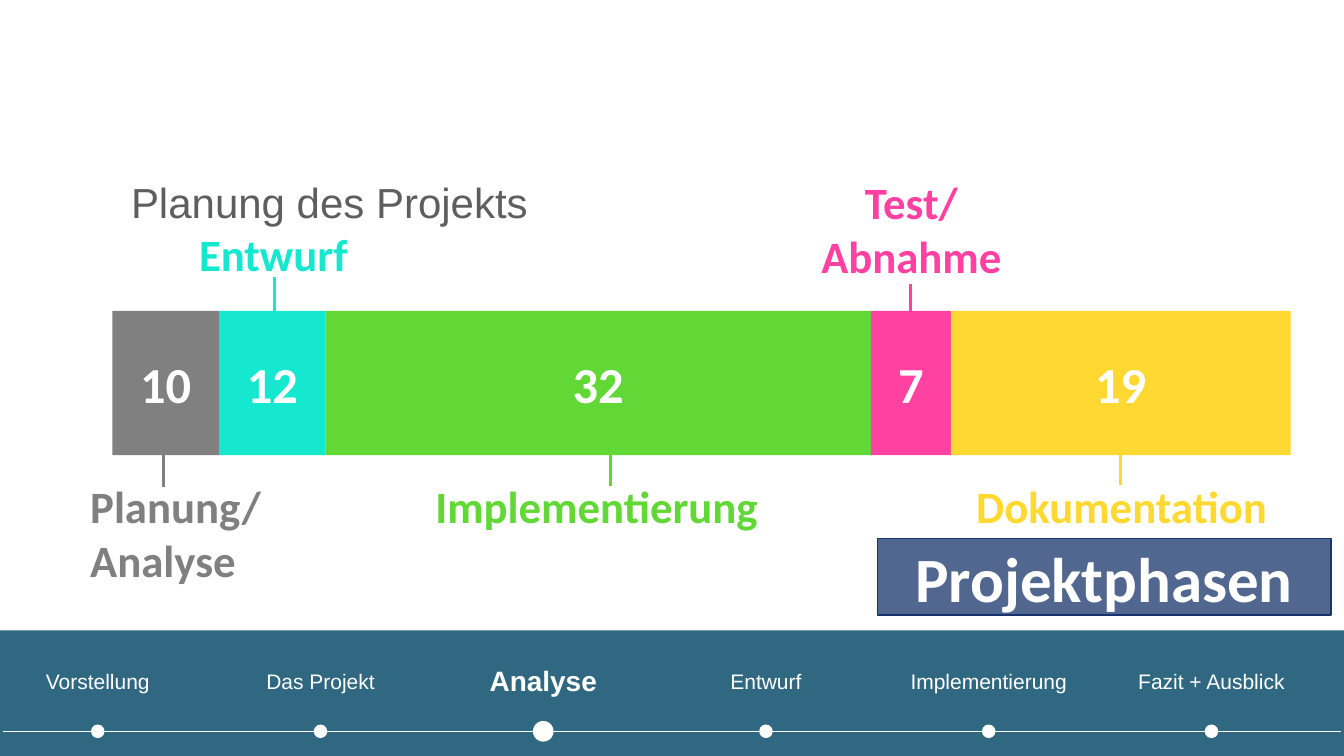
from lxml import etree
from pptx import Presentation
from pptx.dml.color import RGBColor
from pptx.enum.shapes import MSO_CONNECTOR, MSO_SHAPE
from pptx.enum.text import MSO_ANCHOR, MSO_AUTO_SIZE, PP_ALIGN
from pptx.oxml.ns import qn
from pptx.util import Inches, Pt

RECT, OVAL = MSO_SHAPE.RECTANGLE, MSO_SHAPE.OVAL
LINE = MSO_CONNECTOR.STRAIGHT
LEFT, MID = PP_ALIGN.LEFT, PP_ALIGN.CENTER
TOP, CENTER = MSO_ANCHOR.TOP, MSO_ANCHOR.MIDDLE
GROW = MSO_AUTO_SIZE.SHAPE_TO_FIT_TEXT

WHITE = RGBColor(0xFF, 0xFF, 0xFF)
GRAY = RGBColor(0x80, 0x80, 0x80)
CYAN = RGBColor(0x16, 0xE7, 0xCF)
GREEN = RGBColor(0x61, 0xD8, 0x36)
PINK = RGBColor(0xFF, 0x42, 0xA1)
GOLD = RGBColor(0xFF, 0xD9, 0x32)
NAVY = RGBColor(0x17, 0x35, 0x6C)
TEAL = RGBColor(0x31, 0x68, 0x81)
DARK = RGBColor(0x5E, 0x5E, 0x5E)

COLS, ROWS = 26.67, 15
BAR_LEFT, BAR_TOP, BAR_ROWS = 2.23, 6.17, 2.86
STEM = 1.26
BAND_TOP, TRACK = 12.51, 14.51
FIRST, STEP = 1.94, 4.42

PHASES = [
    ("10", 2.12, GRAY, "Planung/\nAnalyse", (1.59, 9.4, 3.85, 2.26), LEFT, (3.25, 8.41)),
    ("12", 2.11, CYAN, "Entwurf", (3.75, 4.39, 3.38, 1.28), LEFT, (5.44, 5.49)),
    ("32", 10.82, GREEN, "Implementierung", (8.44, 9.4, 6.87, 1.28), LEFT, (12.12, 8.38)),
    ("7", 1.59, PINK, "Test/\nAbnahme", (15.59, 3.37, 4.99, 2.36), MID, (18.07, 5.64)),
    ("19", 6.74, GOLD, "Dokumentation", (19.17, 9.4, 6.24, 1.28), LEFT, (22.23, 8.36)),
]
STEPS = [
    ("Vorstellung", 3.18), ("Das Projekt", 3.39), ("Analyse", 3.04),
    ("Entwurf", 1.87), ("Implementierung", 4.41), ("Fazit + Ausblick", 3.7),
]
ACTIVE = "Analyse"


def write(frame, text, size=64, color=WHITE, face="Calibri", bold=True,
          align=MID, anchor=CENTER, pad=(0.2, 0.1), space=None):
    frame.word_wrap = True
    frame.vertical_anchor = anchor
    frame.margin_left = frame.margin_right = Inches(pad[0])
    frame.margin_top = frame.margin_bottom = Inches(pad[1])
    frame.text = text
    for para in frame.paragraphs:
        para.alignment = align
        para.line_spacing = space
        font = para.font
        font.name, font.size, font.bold = face, Pt(size), bold
        font.color.rgb = color


class Deck:
    head = "Arial"

    def __init__(self):
        self.show = Presentation()
        self.show.slide_width = Inches(COLS)
        self.show.slide_height = Inches(ROWS)
        self.slide = self.show.slides.add_slide(self.show.slide_layouts[5])
        self.shapes = self.slide.shapes

    def grid(self, *cells):
        return [Inches(cell) for cell in cells]

    def title(self, text, area):
        item = self.shapes.title
        item.left, item.top, item.width, item.height = self.grid(*area)
        write(item.text_frame, text, size=60, color=DARK, face=self.head,
              bold=False, align=LEFT, pad=(0.06, 0.06))
        item.text_frame.auto_size = GROW

    def block(self, kind, area, fill, text="", size=72):
        item = self.shapes.add_shape(kind, *self.grid(*area))
        item.shadow.inherit = False
        item.fill.solid()
        item.fill.fore_color.rgb = fill
        item.line.fill.background()
        if text:
            write(item.text_frame, text, size=size)
        return item

    def badge(self, text, area, color):
        item = self.block(RECT, area, color, text, size=90)
        item.line.color.rgb = color
        item.line.width = Pt(2)
        tint = item.fill._xPr.find(qn("a:solidFill"))[0]
        etree.SubElement(tint, qn("a:alpha")).set("val", "75000")

    def label(self, text, area, **style):
        box = self.shapes.add_textbox(*self.grid(*area))
        write(box.text_frame, text, **style)

    def rule(self, ends, color, width):
        item = self.shapes.add_connector(LINE, *self.grid(*ends))
        item.line.color.rgb = color
        item.line.width = Pt(width)
        etree.SubElement(item._element.spPr, qn("a:effectLst"))

    def dot(self, col, row, size):
        self.block(OVAL, (col - size / 2, row - size / 2, size, size), WHITE)


def main():
    deck = Deck()
    deck.title("Planung des Projekts", (2.54, 3.44, 12.15, 1.12))
    deck.badge("Projektphasen", (17.41, 10.69, 9, 1.51), NAVY)

    left = BAR_LEFT
    for hours, width, color, name, area, align, (col, row) in PHASES:
        deck.block(RECT, (left, BAR_TOP, width, BAR_ROWS), color, hours)
        deck.label(name, area, color=color, align=align, anchor=TOP)
        deck.rule((col, row, col, row + STEM), color, 4.5)
        left += width

    deck.block(RECT, (0, BAND_TOP, COLS, ROWS - BAND_TOP), TEAL)
    deck.rule((0.05, TRACK, COLS - 0.06, TRACK), WHITE, 1)
    for index, (name, width) in enumerate(STEPS):
        mid = FIRST + index * STEP
        now = name == ACTIVE
        deck.dot(mid, TRACK, 0.41 if now else 0.27)
        deck.label(name, (mid - width / 2, 13.19, width, 0.76), face=deck.head,
                   size=40 if now else 30, bold=now, pad=(0, 0), space=0.8)

    deck.show.save("out.pptx")


if __name__ == "__main__":
    main()
